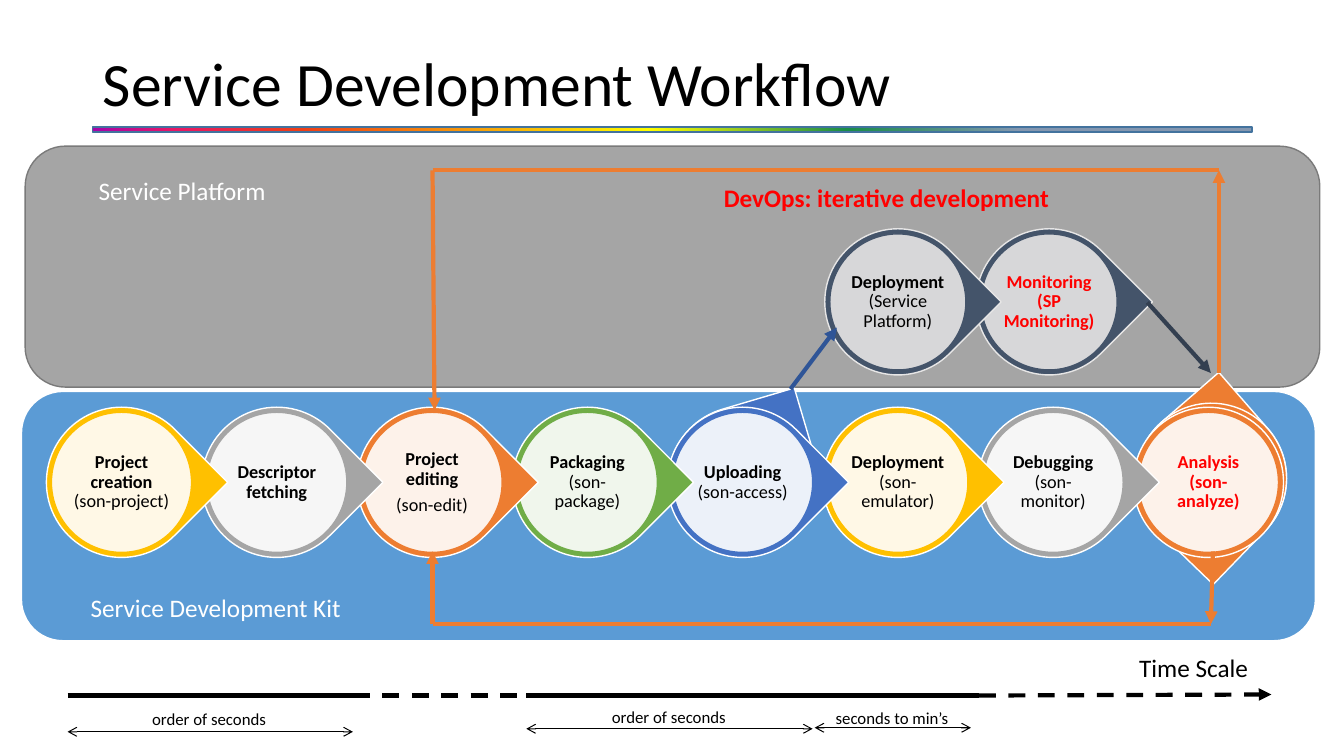
from lxml.etree import SubElement
from pptx import Presentation
from pptx.dml.color import RGBColor
from pptx.enum.dml import MSO_LINE
from pptx.enum.shapes import MSO_CONNECTOR, MSO_SHAPE
from pptx.enum.text import MSO_ANCHOR, MSO_AUTO_SIZE, PP_ALIGN
from pptx.oxml.ns import qn
from pptx.util import Inches, Pt

FONT = "Calibri"
COLORS = {
    "white": "FFFFFF", "black": "000000", "red": "FF0000",
    "yellow": "FFC000", "gray": "A5A5A5", "orange": "ED7D31",
    "green": "70AD47", "blue": "4472C4", "slate": "44546A",
    "light": "E7E6E6", "kit": "5B9BD5", "platform_edge": "7A7A7A",
    "bar_edge": "43739E", "deep_blue": "2F5597", "deep_slate": "333F50",
}
RAINBOW = [(20, "8497B0"), (35, "1A8D48"), (52, "FFFF00"),
           (82, "EE3F17"), (93, "E81766"), (100, "A603AB")]
KIT_STEPS = [
    ("yellow", [[("Project creation ", True), ("(son-project)", False)]], "black"),
    ("gray", [[("Descriptor fetching", True)]], "black"),
    ("orange", [[("Project editing", True)], [("(son-edit)", False)]], "black"),
    ("green", [[("Packaging", True), (" (son-package)", False)]], "black"),
    ("blue", [[("Uploading", True), (" (son-access)", False)]], "black"),
    ("yellow", [[("Deployment", True), (" (son-emulator)", False)]], "black"),
    ("gray", [[("Debugging", True), (" (son-monitor)", False)]], "black"),
    ("orange", [[("Analysis (son-analyze)", True)]], "red"),
]
PLATFORM_STEPS = [
    ("slate", [[("Deployment ", True), ("(Service Platform)", False)]], "black"),
    ("slate", [[("Monitoring (SP Monitoring)", True)]], "red"),
]
LOOP_LINES = [
    ((4.29, 6.19), (12.01, 6.19), None),
    ((12.03, 5.47), (12.01, 6.19), "triangle"),
    ((4.29, 6.19), (4.29, 5.47), "triangle"),
    ((4.29, 1.69), (12.09, 1.69), None),
    ((4.29, 1.69), (4.31, 4.07), "triangle"),
    ((12.09, 3.7), (12.09, 1.69), "triangle"),
]
TIME_LINES = [
    (0.67, 3.5, 6.9, False, None), (3.5, 5.22, 6.9, True, None),
    (5.22, 9.71, 6.9, False, None), (9.71, 12.61, 6.89, True, "triangle"),
]
DURATIONS = [(0.67, 3.5, 7.26), (5.22, 8.06, 7.23), (8.08, 9.63, 7.22)]
LABELS = [
    (7.08, 1.76, 3.45, 0.4, "DevOps: iterative development", 18, "red", True),
    (0.8, 5.83, 2.85, 0.4, "Service Development Kit", 18, "white", False),
    (0.88, 1.69, 1.88, 0.4, "Service Platform", 18, "white", False),
    (11.2, 6.42, 1.29, 0.4, "Time Scale", 18, "black", False),
    (1.41, 6.98, 1.35, 0.3, "order of seconds", 12, "black", False),
    (5.97, 6.96, 1.35, 0.3, "order of seconds", 12, "black", False),
    (8.19, 6.97, 1.34, 0.3, "seconds to min’s", 12, "black", False),
]


def rgb(name):
    return RGBColor.from_string(COLORS[name])


def add_run(paragraph, text, size, color, bold=False):
    run = paragraph.add_run()
    run.text = text
    run.font.name = FONT
    run.font.size = Pt(size)
    run.font.bold = bold
    run.font.color.rgb = rgb(color)


def add_shape(slide, kind, box, fill, edge, width=1, rotation=0):
    shape = slide.shapes.add_shape(kind, *map(Inches, box))
    shape.shadow.inherit = False
    shape.rotation = rotation
    shape.fill.solid()
    shape.fill.fore_color.rgb = rgb(fill)
    shape.line.color.rgb = rgb(edge)
    shape.line.width = Pt(width)
    return shape


def add_rainbow_bar(slide):
    bar = add_shape(slide, MSO_SHAPE.RECTANGLE, (0.92, 1.26, 11.5, 0.05), "white", "bar_edge")
    bar.fill.gradient()
    bar.fill.gradient_angle = 180
    stops = bar._element.spPr.find(qn("a:gradFill")).find(qn("a:gsLst"))
    for stop in list(stops):
        stops.remove(stop)
    for position, color in RAINBOW:
        stop = SubElement(stops, qn("a:gs"), pos=str(position * 1000))
        SubElement(stop, qn("a:srgbClr"), val=color)


def add_title(slide):
    title = slide.shapes.title
    title.left, title.top = Inches(0.92), Inches(0.4)
    title.width, title.height = Inches(11.5), Inches(0.91)
    title.text_frame.vertical_anchor = MSO_ANCHOR.MIDDLE
    paragraph = title.text_frame.paragraphs[0]
    paragraph.alignment = PP_ALIGN.LEFT
    paragraph.line_spacing = 0.9
    add_run(paragraph, "Service Development Workflow", 44, "black")


def add_label(slide, left, top, width, height, text, size, color, bold):
    box = slide.shapes.add_textbox(*map(Inches, (left, top, width, height)))
    frame = box.text_frame
    frame.word_wrap = False
    frame.auto_size = MSO_AUTO_SIZE.SHAPE_TO_FIT_TEXT
    add_run(frame.paragraphs[0], text, size, color, bold)


def add_step_text(slide, box, paragraphs, color):
    frame = slide.shapes.add_textbox(*map(Inches, box)).text_frame
    frame.word_wrap = True
    frame.vertical_anchor = MSO_ANCHOR.MIDDLE
    frame.margin_left = frame.margin_right = Inches(0.02)
    frame.margin_top = frame.margin_bottom = Inches(0.02)
    for index, runs in enumerate(paragraphs):
        paragraph = frame.add_paragraph() if index else frame.paragraphs[0]
        paragraph.alignment = PP_ALIGN.CENTER
        paragraph.line_spacing = 0.9
        paragraph.space_after = Pt(4.5)
        for text, bold in runs:
            add_run(paragraph, text, 13, color, bold)


def inset_square(left, top, size, inset):
    return left + inset, top + inset, size - 2 * inset, size - 2 * inset


def add_step(slide, left, top, size, step, pale, pointed):
    color, paragraphs, text_color = step
    kind, rotation = (MSO_SHAPE.TEAR, 45) if pointed else (MSO_SHAPE.OVAL, 0)
    add_shape(slide, kind, (left, top, size, size), color, pale, rotation=rotation)
    disc = add_shape(slide, MSO_SHAPE.OVAL, inset_square(left, top, size, 0.05), pale, color)
    fill_color = disc._element.spPr.find(qn("a:solidFill"))[0]
    SubElement(fill_color, qn("a:alpha"), val="90000")
    add_step_text(slide, inset_square(left, top, size, size / 6), paragraphs, text_color)


def add_chain(slide, left, top, size, pitch, steps, pale, last_pointed):
    last = len(steps) - 1
    for index in range(last, -1, -1):
        pointed = index < last or last_pointed
        add_step(slide, left + index * pitch, top, size, steps[index], pale, pointed)


def add_line(slide, start, end, color, width=3.0, dashed=False, head=None, tail=None):
    points = map(Inches, (*start, *end))
    connector = slide.shapes.add_connector(MSO_CONNECTOR.STRAIGHT, *points)
    connector.line.color.rgb = rgb(color)
    connector.line.width = Pt(width)
    if dashed:
        connector.line.dash_style = MSO_LINE.DASH
    properties = connector._element.spPr
    outline = properties.find(qn("a:ln"))
    for tag, arrow in (("a:headEnd", head), ("a:tailEnd", tail)):
        if arrow:
            SubElement(outline, qn(tag), type=arrow)
    SubElement(properties, qn("a:effectLst"))


def main():
    presentation = Presentation()
    presentation.slide_width = Inches(13.33)
    presentation.slide_height = Inches(7.5)
    slide = presentation.slides.add_slide(presentation.slide_layouts[5])
    add_title(slide)
    add_rainbow_bar(slide)
    rounded = MSO_SHAPE.ROUNDED_RECTANGLE
    add_shape(slide, rounded, (0.25, 1.45, 12.84, 2.39), "gray", "platform_edge")
    add_shape(slide, rounded, (0.21, 3.88, 12.84, 2.48), "kit", "white", 1.5)
    for left, top, color, rotation in ((6.63, 4.03, "blue", 343.5),
                                       (11.27, 4, "orange", 319),
                                       (11.27, 4, "orange", 134)):
        add_shape(slide, MSO_SHAPE.TEAR, (left, top, 1.49, 1.49), color, "white", rotation=rotation)
    add_chain(slide, 0.46, 4.04, 1.49, 1.54, KIT_STEPS, "white", False)
    add_chain(slide, 8.18, 2.27, 1.45, 1.5, PLATFORM_STEPS, "light", True)
    for start, end, tail in LOOP_LINES:
        add_line(slide, start, end, "orange", tail=tail)
    for left, right, y, dashed, tail in TIME_LINES:
        add_line(slide, (left, 6.9), (right, y), "black", dashed=dashed, tail=tail)
    for left, right, y in DURATIONS:
        add_line(slide, (left, y), (right, y), "black", 0.75, head="arrow", tail="arrow")
    for label in LABELS:
        add_label(slide, *label)
    add_line(slide, (11.38, 3), (12.01, 3.7), "deep_slate", tail="triangle")
    add_line(slide, (7.84, 3.86), (8.3, 3.25), "deep_blue", tail="triangle")
    presentation.save("out.pptx")


if __name__ == "__main__":
    main()
